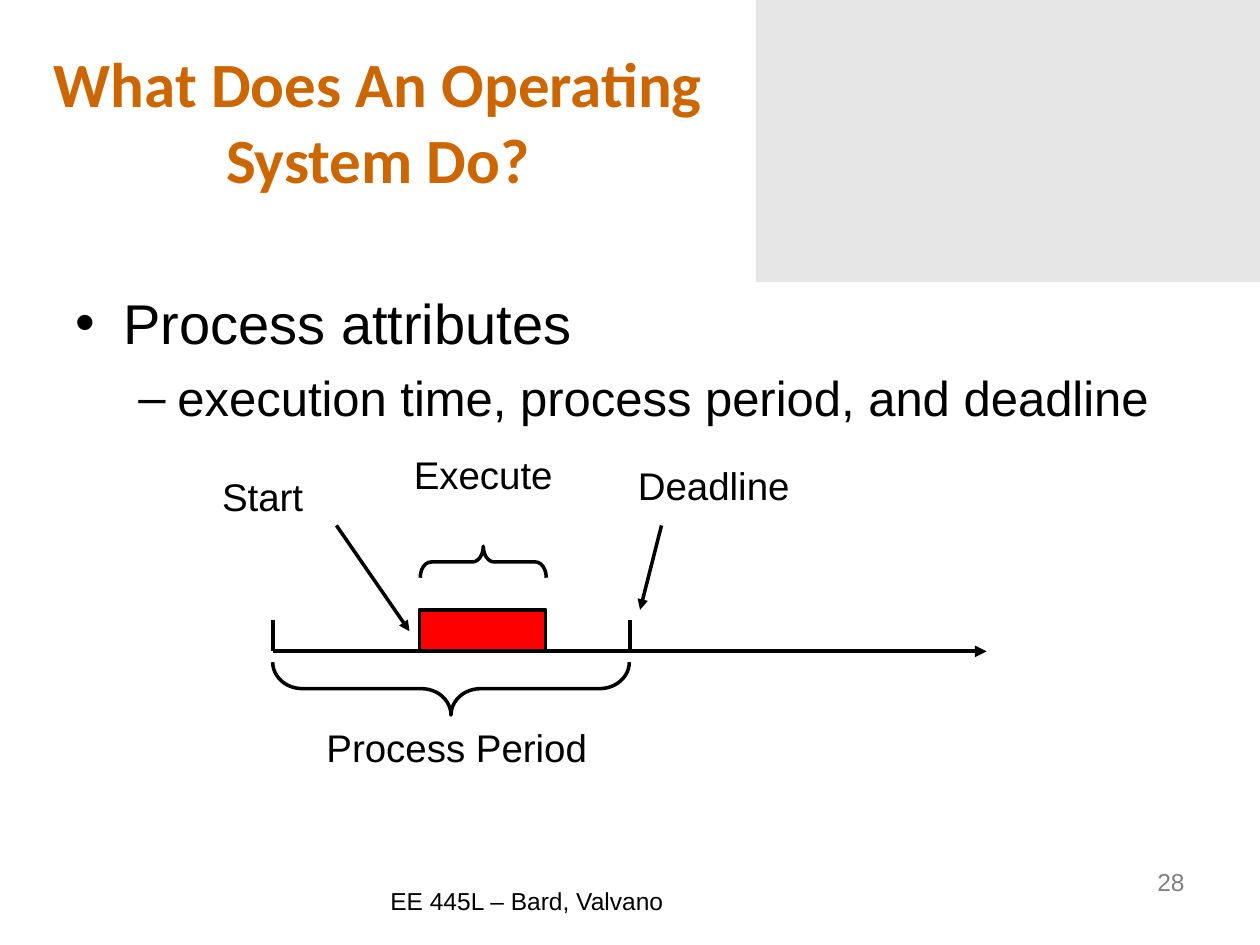
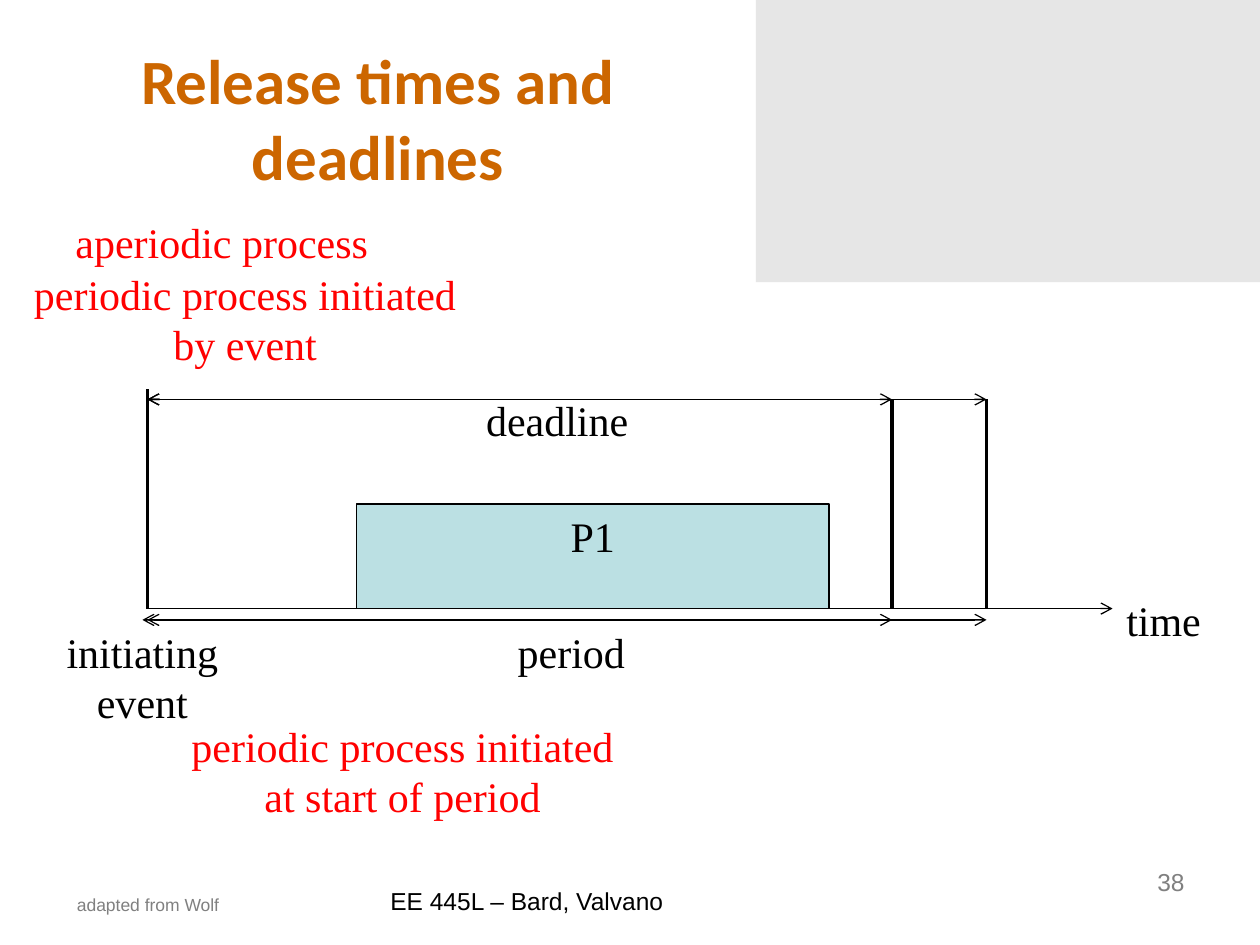
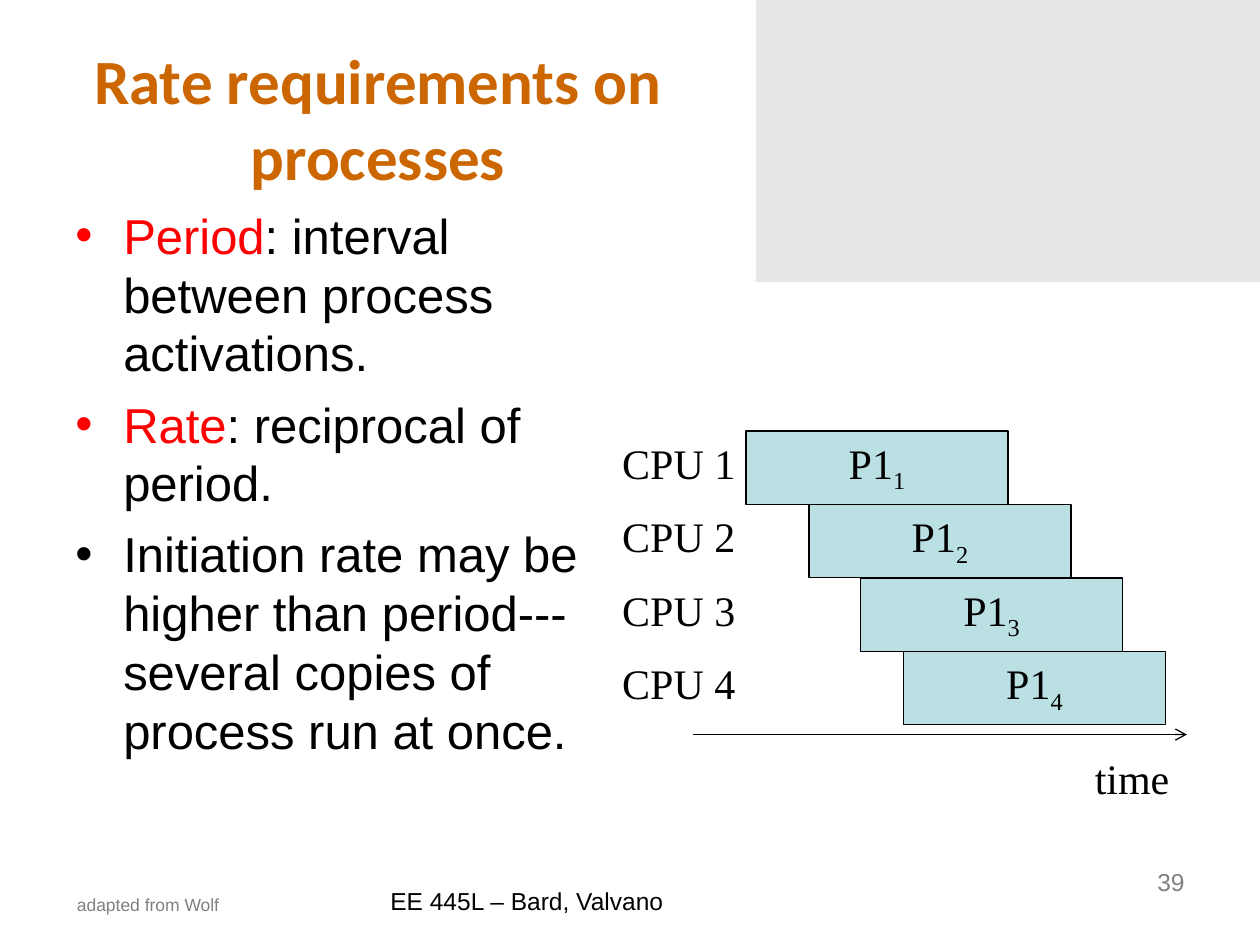
from dataclasses import dataclass

from lxml import etree
from pptx import Presentation
from pptx import util as u
from pptx.dml.color import RGBColor
from pptx.enum import shapes, text
from pptx.oxml import ns
from pptx.shapes.autoshape import Shape
from pptx.slide import Slide
from pptx.text.text import TextFrame

COLORS = {
    "title": "CC6600",
    "band": "E6E6E6",
    "ink": "000000",
    "muted": "808080",
    "accent": "FF0000",
    "process": "BBE0E3",
}
LEFT, CENTER, RIGHT = text.PP_ALIGN.LEFT, text.PP_ALIGN.CENTER, text.PP_ALIGN.RIGHT
TOP, MIDDLE, BOTTOM = text.MSO_ANCHOR.TOP, text.MSO_ANCHOR.MIDDLE, text.MSO_ANCHOR.BOTTOM


@dataclass(frozen=True)
class Box:
    left: float
    top: float
    width: float
    height: float

    def lengths(self) -> list[u.Inches]:
        return [u.Inches(v) for v in (self.left, self.top, self.width, self.height)]


@dataclass(frozen=True)
class Style:
    size: float
    font: str = "Arial"
    color: str = "ink"
    bold: bool = False


@dataclass(frozen=True)
class Piece:
    text: str
    color: str = "ink"
    subscript: bool = False


@dataclass(frozen=True)
class Para:
    pieces: tuple[Piece, ...]
    align: text.PP_ALIGN = LEFT
    before: float = 0
    spacing: float = 1.0
    bullet: str = ""
    margin: float = 0
    hanging: float = 0


@dataclass(frozen=True)
class Label:
    box: Box
    lines: tuple[str, ...]
    color: str = "ink"
    align: text.PP_ALIGN = LEFT


@dataclass(frozen=True)
class Stroke:
    start: tuple[float, float]
    end: tuple[float, float]
    width: float = 0.75
    head: str = ""
    tail: str = ""


@dataclass(frozen=True)
class Brace:
    box: Box
    rotation: float
    curl: float


TITLE = Style(36, "Calibri", "title", True)
TIMES = Style(24, "Times New Roman")


def rgb(name: str) -> RGBColor:
    return RGBColor.from_string(COLORS[name])


def add_bullet(paragraph, para: Para) -> None:
    props = paragraph._p.get_or_add_pPr()
    props.set("marL", str(u.Inches(para.margin)))
    props.set("indent", str(-u.Inches(para.hanging)))
    color = etree.SubElement(props, ns.qn("a:buClr"))
    etree.SubElement(color, ns.qn("a:srgbClr"), val=COLORS[para.pieces[0].color])
    etree.SubElement(props, ns.qn("a:buFont"), typeface="Arial")
    etree.SubElement(props, ns.qn("a:buChar"), char=para.bullet)


def write(frame: TextFrame, paras: list[Para], styles: list[Style]) -> None:
    for index, (para, style) in enumerate(zip(paras, styles)):
        paragraph = frame.add_paragraph() if index else frame.paragraphs[0]
        paragraph.alignment = para.align
        paragraph.space_before = u.Pt(para.before)
        paragraph.line_spacing = para.spacing
        if para.bullet:
            add_bullet(paragraph, para)
        for piece in para.pieces:
            run = paragraph.add_run()
            run.text = piece.text
            run.font.name = style.font
            run.font.size = u.Pt(style.size)
            run.font.bold = style.bold
            run.font.color.rgb = rgb(piece.color)
            if piece.subscript:
                run.font._element.set("baseline", "-25000")


def add_text(slide: Slide, box: Box, paras: list[Para], styles: list[Style],
             anchor: text.MSO_ANCHOR = TOP, wrap: bool = True) -> TextFrame:
    frame = slide.shapes.add_textbox(*box.lengths()).text_frame
    frame.word_wrap = wrap
    frame.vertical_anchor = anchor
    write(frame, paras, styles)
    return frame


def add_line_of_text(slide: Slide, box: Box, words: str, style: Style,
                     align: text.PP_ALIGN = LEFT, before: float = 0,
                     anchor: text.MSO_ANCHOR = TOP, spacing: float = 1.0) -> TextFrame:
    para = Para((Piece(words, style.color),), align, before, spacing)
    return add_text(slide, box, [para], [style], anchor)


def add_labels(slide: Slide, labels: list[Label]) -> None:
    for label in labels:
        paras = [Para((Piece(line, label.color),), label.align) for line in label.lines]
        frame = add_text(slide, label.box, paras, [TIMES] * len(paras), wrap=False)
        frame.auto_size = text.MSO_AUTO_SIZE.SHAPE_TO_FIT_TEXT


def add_rect(slide: Slide, box: Box, fill: str, outline: float = 0) -> Shape:
    rect = slide.shapes.add_shape(shapes.MSO_SHAPE.RECTANGLE, *box.lengths())
    rect.shadow.inherit = False
    rect.fill.solid()
    rect.fill.fore_color.rgb = rgb(fill)
    if outline:
        rect.line.color.rgb = rgb("ink")
        rect.line.width = u.Pt(outline)
    else:
        rect.line.fill.background()
    return rect


def add_process(slide: Slide, box: Box, index: str = "") -> None:
    frame = add_rect(slide, box, "process", 0.75).text_frame
    frame.vertical_anchor = TOP
    pieces = (Piece("P1"),) + ((Piece(index, subscript=True),) if index else ())
    write(frame, [Para(pieces, CENTER)], [TIMES])


def add_strokes(slide: Slide, strokes: list[Stroke]) -> None:
    for stroke in strokes:
        ends = [u.Inches(v) for v in stroke.start + stroke.end]
        connector = slide.shapes.add_connector(shapes.MSO_CONNECTOR.STRAIGHT, *ends)
        connector.line.color.rgb = rgb("ink")
        connector.line.width = u.Pt(stroke.width)
        line = connector.line._get_or_add_ln()
        for tag, kind in (("a:headEnd", stroke.head), ("a:tailEnd", stroke.tail)):
            if kind:
                etree.SubElement(line, ns.qn(tag), type=kind)
        etree.SubElement(connector._element.spPr, ns.qn("a:effectLst"))


def add_brace(slide: Slide, brace: Brace) -> None:
    shape = slide.shapes.add_shape(shapes.MSO_SHAPE.LEFT_BRACE, *brace.box.lengths())
    shape.shadow.inherit = False
    shape.rotation = brace.rotation
    shape.adjustments[0] = brace.curl
    shape.fill.background()
    shape.line.color.rgb = rgb("ink")
    shape.line.width = u.Pt(2)


def add_base(deck, title: str, number: int, anchor: text.MSO_ANCHOR = BOTTOM,
             adapted: bool = True) -> Slide:
    slide = deck.slides.add_slide(deck.slide_layouts[6])
    add_rect(slide, Box(6, -0.01, 4, 2.25), "band")
    add_line_of_text(slide, Box(7.17, 6.83, 2.33, 0.52), str(number),
                     Style(14, color="muted"), RIGHT)
    add_line_of_text(slide, Box(0, 0.33, 6, 1.25), title, TITLE, CENTER, anchor=anchor)
    if adapted:
        credit = add_line_of_text(slide, Box(0.47, 7, 1.69, 0.31), "adapted from Wolf",
                                  Style(10, color="muted"), before=6.2, anchor=BOTTOM)
        credit.margin_left = u.Inches(0.14)
    add_line_of_text(slide, Box(3, 6.98, 4.33, 0.44), "EE 445L – Bard, Valvano",
                     Style(14), before=3.5)
    return slide


def build_attributes(deck) -> None:
    slide = add_base(deck, "What Does An Operating System Do?", 28, MIDDLE, adapted=False)
    add_text(slide, Box(0.5, 2.24, 9, 4.46), [
        Para((Piece("Process attributes"),), before=8, bullet="•", margin=0.38, hanging=0.38),
        Para((Piece("execution time, process period, and deadline"),),
             before=7, bullet="–", margin=0.81, hanging=0.31),
    ], [Style(32), Style(28)])

    axis, period_start, period_end = 5.17, 2.17, 5
    add_strokes(slide, [
        Stroke((7.83, axis), (period_start, axis), 2.25, head="triangle"),
        *(Stroke((x, 4.92), (x, axis), 2.25) for x in (period_start, period_end)),
        Stroke((5.25, 4.17), (5.08, 4.84), 2, tail="triangle"),
        Stroke((2.67, 4.17), (3.25, 5.01), 2, tail="triangle"),
    ])
    add_rect(slide, Box(3.33, 4.84, 1, 0.33), "accent", 2.25)
    add_brace(slide, Brace(Box(3.37, 4.05, 0.42, 2.83), 270, 0.56))
    add_brace(slide, Brace(Box(3.71, 3.96, 0.25, 1), 90, 0.34))
    for caption, left, top, width in (
        ("Execute", 2.92, 3.59, 1.83),
        ("Process Period", 2.25, 5.75, 2.75),
        ("Deadline", 4.75, 3.67, 1.83),
        ("Start", 1.17, 3.76, 1.83),
    ):
        add_line_of_text(slide, Box(left, top, width, 0.41), caption, Style(22),
                         CENTER, before=13.8, spacing=0.85)


def build_release_times(deck) -> None:
    slide = add_base(deck, "Release times and deadlines", 38)
    event, deadline, period = 1.17, 7.08, 7.83
    span_top, axis, span_bottom = 3.17, 4.83, 4.92
    add_strokes(slide, [
        Stroke((event, axis), (8.83, axis), tail="arrow"),
        Stroke((event, 3.09), (event, axis), 2),
        *(Stroke((x, span_top), (x, axis), 2) for x in (deadline, period)),
        *(Stroke((start, y), (end, y), head="arrow", tail="arrow")
          for start, end, y in ((event, period, span_top), (event, deadline, span_top),
                                (1.13, period, span_bottom), (event, deadline, span_bottom))),
    ])
    add_process(slide, Box(2.83, 4, 3.75, 0.83))
    add_labels(slide, [
        Label(Box(8.84, 4.67, 0.79, 0.5), ("time",)),
        Label(Box(0.38, 4.92, 1.5, 0.9), ("initiating", "event"), align=CENTER),
        Label(Box(0.5, 1.67, 2.52, 0.5), ("aperiodic process",), "accent"),
        Label(Box(1.42, 5.67, 3.55, 0.9),
              ("periodic process initiated", "at start of period"), "accent", CENTER),
        Label(Box(3.76, 3.08, 1.33, 0.5), ("deadline",)),
        Label(Box(4.01, 4.92, 1.05, 0.5), ("period",)),
        Label(Box(0.17, 2.08, 3.55, 0.9),
              ("periodic process initiated", "by event"), "accent", CENTER),
    ])


def build_rates(deck) -> None:
    slide = add_base(deck, "Rate requirements on processes", 39)
    points = (
        (Piece("Period", "accent"), Piece(": interval between process activations.")),
        (Piece("Rate", "accent"), Piece(": reciprocal of period.")),
        (Piece("Initiation rate may be higher than period---"
               "several copies of process run at once."),),
    )
    add_text(slide, Box(0.5, 1.58, 4.42, 5.12),
             [Para(pieces, before=7, bullet="•", margin=0.38, hanging=0.38)
              for pieces in points], [Style(28)] * len(points))

    add_strokes(slide, [Stroke((5.5, 5.83), (9.42, 5.83), tail="arrow")])
    add_labels(slide, [Label(Box(8.59, 5.92, 0.79, 0.5), ("time",))])
    first_row, row_pitch = 3.42, 1.75 / 3
    for row, start in enumerate((5.92, 6.42, 6.83, 7.17)):
        top = first_row + row * row_pitch
        add_process(slide, Box(start, top, 2.08, row_pitch), str(row + 1))
        add_labels(slide, [Label(Box(4.84, top, 1.1, 0.5), (f"CPU {row + 1}",))])


def main() -> None:
    deck = Presentation()
    deck.slide_width, deck.slide_height = u.Inches(10), u.Inches(7.5)
    build_attributes(deck)
    build_release_times(deck)
    build_rates(deck)
    deck.save("out.pptx")


if __name__ == "__main__":
    main()
